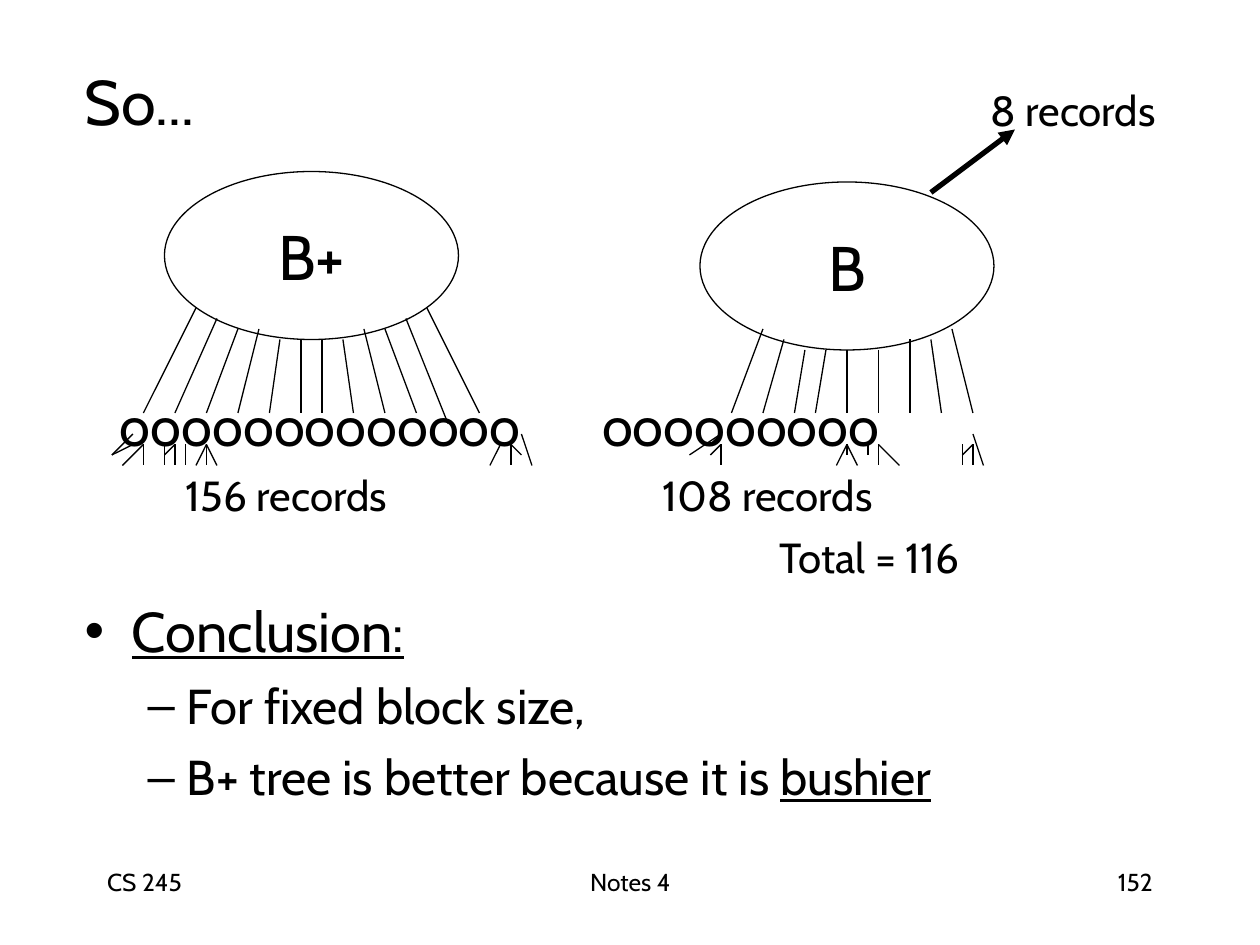
import pptx
import pptx.util
import pptx.dml.color
import pptx.enum.shapes
import pptx.enum.text
import pptx.oxml
import pptx.oxml.ns

Cm, Pt = pptx.util.Cm, pptx.util.Pt
ALIGN = pptx.enum.text.PP_ALIGN
ANCHOR = pptx.enum.text.MSO_ANCHOR
NAMESPACE = pptx.oxml.ns.nsdecls("a")
COLORS = {name: pptx.dml.color.RGBColor.from_string(value)
          for name, value in {"ink": "000000", "paper": "FFFFFF"}.items()}

# The diagram sits on a grid of twelve steps to the inch
STEP = 2.54 / 12
GRID_LEFT, GRID_TOP = 0.14, 0.07

presentation = pptx.Presentation()
presentation.slide_width, presentation.slide_height = Cm(25.4), Cm(19.05)
slide = presentation.slides.add_slide(presentation.slide_layouts[1])


def write(paragraph, text, size, align=ALIGN.LEFT, underline=None):
    paragraph.alignment = align
    run = paragraph.add_run()
    run.text = text
    font_format = {"name": "Cabin", "size": Pt(size), "underline": underline}
    for attribute, value in font_format.items():
        setattr(run.font, attribute, value)
    run.font.color.rgb = COLORS["ink"]


def add_line(start_x, start_y, end_x, end_y, width=0.75):
    connector = slide.shapes.add_connector(
        pptx.enum.shapes.MSO_CONNECTOR.STRAIGHT,
        Cm(GRID_LEFT + start_x * STEP), Cm(GRID_TOP + start_y * STEP),
        Cm(GRID_LEFT + end_x * STEP), Cm(GRID_TOP + end_y * STEP))
    connector.line.color.rgb = COLORS["ink"]
    connector.line.width = Pt(width)
    connector._element.spPr.append(pptx.oxml.parse_xml(f"<a:effectLst {NAMESPACE}/>"))
    return connector


# Title and conclusion placeholders
title, body = slide.shapes.title, slide.placeholders[1]
for placeholder, (left, top, width, height), anchor in (
        (title, (1.45, 1.02, 21.59, 2.01), ANCHOR.MIDDLE),
        (body, (1.45, 11.89, 21.59, 5.05), ANCHOR.TOP)):
    placeholder.left, placeholder.top = Cm(left), Cm(top)
    placeholder.width, placeholder.height = Cm(width), Cm(height)
    placeholder.text_frame.auto_size = pptx.enum.text.MSO_AUTO_SIZE.NONE
    placeholder.text_frame.vertical_anchor = anchor
write(title.text_frame.paragraphs[0], "So...", 36)

conclusion = [
    (0, 32, 0, [("Conclusion:", True)]),
    (1, 28, 7, [("For fixed block size,", False)]),
    (1, 28, 7, [("B+ tree is better because it is ", False), ("bushier", True)]),
]
for index, (level, size, space, parts) in enumerate(conclusion):
    frame = body.text_frame
    paragraph = frame.add_paragraph() if index else frame.paragraphs[0]
    paragraph.level = level
    paragraph.space_before = Pt(space)
    for text, underline in parts:
        write(paragraph, text, size, underline=underline)

# Tree ellipses: left and top in grid steps
for label, left, top in (("B+", 15, 16), ("B", 66, 17)):
    ellipse = slide.shapes.add_shape(
        pptx.enum.shapes.MSO_SHAPE.OVAL,
        Cm(GRID_LEFT + left * STEP), Cm(GRID_TOP + top * STEP),
        Cm(28 * STEP), Cm(16 * STEP))
    ellipse.shadow.inherit = False
    ellipse.fill.solid()
    ellipse.fill.fore_color.rgb = COLORS["paper"]
    ellipse.line.color.rgb = COLORS["ink"]
    ellipse.line.width = Pt(0.75)
    ellipse.text_frame.vertical_anchor = ANCHOR.MIDDLE
    ellipse.text_frame.word_wrap = False
    write(ellipse.text_frame.paragraphs[0], label, 36, ALIGN.CENTER)

# Branches from each ellipse down to its leaves: start x, start y, end x
branches = [
    (18, 29, 13), (20, 30, 16), (22, 31, 19), (24, 31, 22), (26, 32, 25),
    (28, 32, 28), (30, 32, 30), (32, 32, 33), (34, 31, 36), (36, 31, 39),
    (40, 29, 45),
    (72, 31, 69), (74, 32, 72), (76, 33, 75), (78, 33, 77), (80, 33, 80),
    (83, 33, 83), (86, 32, 86), (88, 32, 89), (90, 31, 92),
]
for start_x, start_y, end_x in branches:
    add_line(start_x, start_y, end_x, 39)
add_line(38, 30, 42, 40)

# Record pointers below the leaves: start x, start y, then each end point
pointers = [
    (12, 41, [(10, 43)]), (12, 42, [(10, 43)]),
    (13, 42, [(11, 44), (13, 44)]), (15, 42, [(15, 44)]),
    (16, 42, [(16, 44), (15, 43)]), (17, 42, [(17, 44)]),
    (19, 42, [(18, 44), (19, 44), (20, 44)]),
    (47, 42, [(46, 44)]), (48, 42, [(48, 44), (49, 43)]), (49, 41, [(50, 44)]),
    (68, 41, [(65, 43), (67, 42)]), (68, 42, [(68, 43), (67, 43), (68, 44)]),
    (80, 42, [(80, 43), (79, 44), (81, 44)]), (82, 42, [(82, 43)]),
    (83, 42, [(83, 44), (85, 44)]), (91, 42, [(91, 44)]),
    (92, 42, [(91, 43), (92, 44)]), (92, 41, [(93, 44)]),
]
for start_x, start_y, ends in pointers:
    for end_x, end_y in ends:
        add_line(start_x, start_y, end_x, end_y)

# Arrow to the records held in the B tree itself
arrow = add_line(88, 18, 96, 12, width=3)
arrow.line._get_or_add_ln().append(
    pptx.oxml.parse_xml(f'<a:tailEnd {NAMESPACE} type="triangle"/>'))

# Leaves, record counts and footer: text, size, left, top, width, height, alignment
labels = [
    ("o" * 13, 32, 2.42, 7.87, 8.4, 1.37, ALIGN.LEFT),
    ("o" * 9, 32, 12.14, 7.87, 6, 1.37, ALIGN.LEFT),
    ("156 records", 24, 3.75, 9.47, 4.6, 1.03, ALIGN.LEFT),
    ("108 records", 24, 13.36, 9.47, 4.8, 1.03, ALIGN.LEFT),
    ("Total = 116", 24, 15.72, 10.72, 4.2, 1.03, ALIGN.LEFT),
    ("8 records", 24, 19.78, 1.7, 3.71, 1.03, ALIGN.CENTER),
    ("CS 245", 14, 2.16, 17.48, 4.78, 1.02, ALIGN.LEFT),
    ("Notes 4", 14, 8.94, 17.48, 7.54, 1.02, ALIGN.CENTER),
    ("152", 14, 18.46, 17.48, 4.78, 1.02, ALIGN.RIGHT),
]
for text, size, left, top, width, height, align in labels:
    box = slide.shapes.add_textbox(Cm(left), Cm(top), Cm(width), Cm(height))
    frame_format = {"word_wrap": True, "margin_left": 0, "margin_right": 0,
                    "margin_top": 0, "margin_bottom": 0}
    for attribute, value in frame_format.items():
        setattr(box.text_frame, attribute, value)
    write(box.text_frame.paragraphs[0], text, size, align)

presentation.save("out.pptx")
